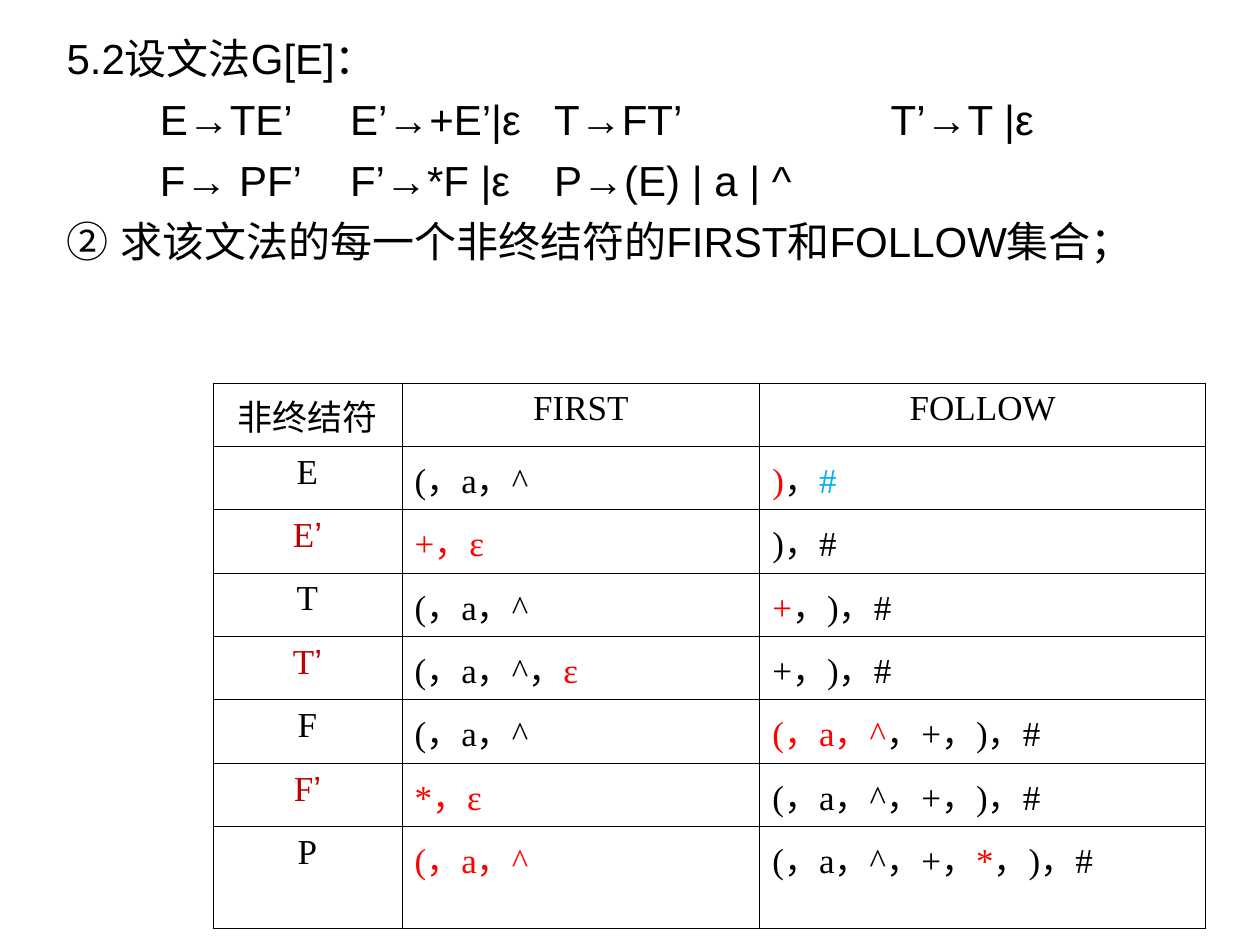
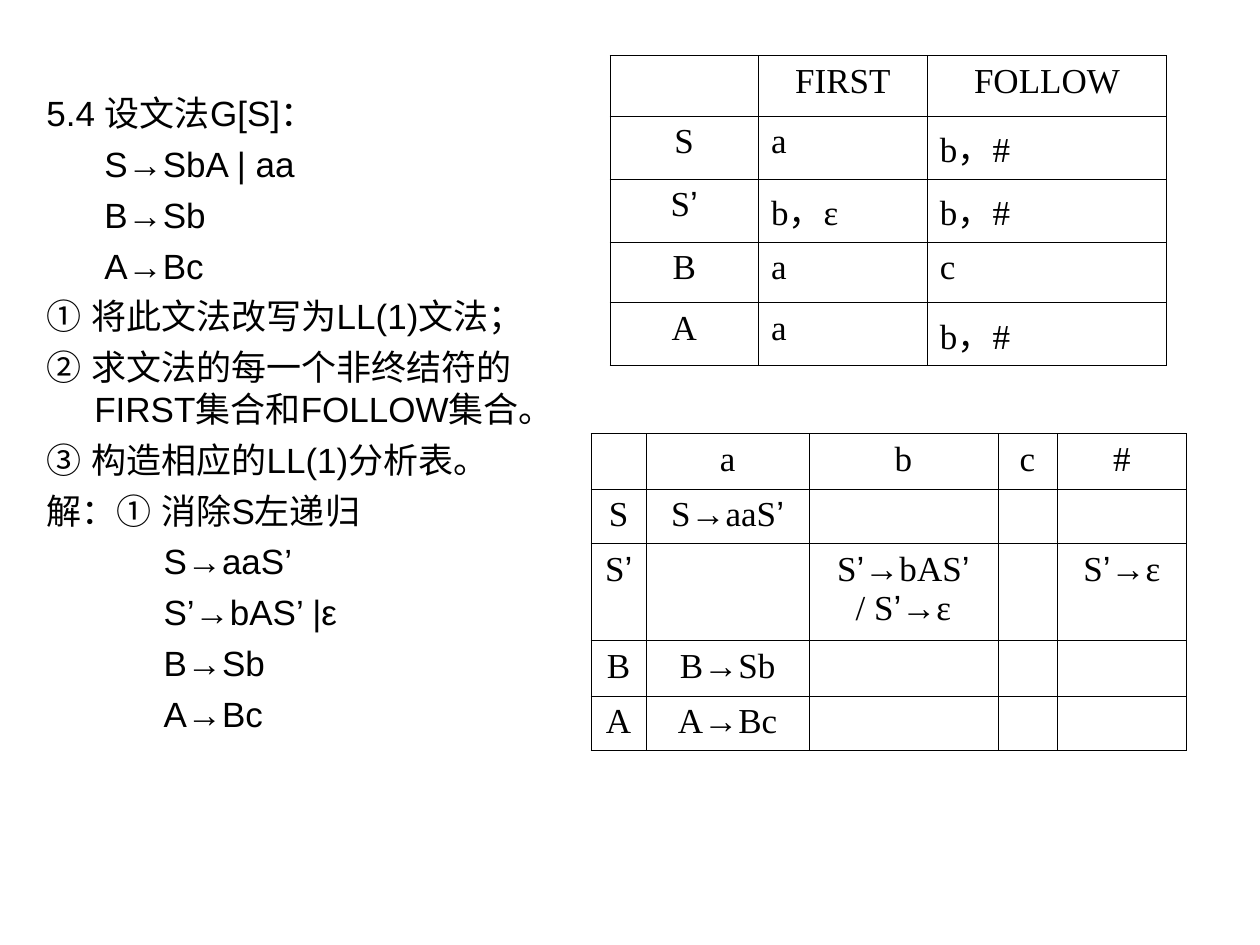
from itertools import groupby

from lxml import etree
from pptx import Presentation
from pptx.dml.color import RGBColor
from pptx.enum.text import PP_ALIGN
from pptx.oxml.ns import qn
from pptx.util import Inches, Pt

CENTER, LEFT = PP_ALIGN.CENTER, PP_ALIGN.LEFT
SANS, SERIF = "Arial", "Times New Roman"
BLACK, RED, DARK_RED, BLUE = "000000", "FF0000", "C00000", "00B0F0"
HANGING = 0.38
TABLE_SIZE = 20
BORDER_WIDTH = 0.45

# Content: a line is (text, left indent or None for hanging, tab stops)
GRAMMAR_TABS = (0.74, 2.25, 3.87, 6.54)
EXPRESSION_TEXT = [
    ("5.2设文法G[E]：", None, ()),
    ("\tE→TE’\tE’→+E’|ε\tT→FT’\tT’→T |ε", 0, GRAMMAR_TABS),
    ("\tF→ PF’\tF’→*F |ε\tP→(E) | a | ^", 0, GRAMMAR_TABS),
    ("② 求该文法的每一个非终结符的FIRST和FOLLOW集合；", None, ()),
]
STATEMENT_TEXT = [
    ("5.4 设文法G[S]：", None, ()),
    *[(rule, 0.46, ()) for rule in ("S→SbA | aa", "B→Sb", "A→Bc")],
    ("① 将此文法改写为LL(1)文法；", None, ()),
    ("② 求文法的每一个非终结符的FIRST集合和FOLLOW集合。", None, ()),
    ("③ 构造相应的LL(1)分析表。", None, ()),
    ("解：① 消除S左递归", None, ()),
    *[(rule, 0.93, ()) for rule in ("S→aaS’", "S’→bAS’ |ε", "B→Sb", "A→Bc")],
]

# A cell is plain text or a list of (text, colour) spans
EXPRESSION_SETS = [
    ["非终结符", "FIRST", "FOLLOW"],
    ["E", "(，a，^", [(")", RED), ("，", BLACK), ("#", BLUE)]],
    [[("E’", DARK_RED)], [("+，ε", RED)], ")，#"],
    ["T", "(，a，^", [("+", RED), ("，)，#", BLACK)]],
    [[("T’", DARK_RED)], [("(，a，^，", BLACK), ("ε", RED)], "+，)，#"],
    ["F", "(，a，^", [("(，a，^", RED), ("，+，)，#", BLACK)]],
    [[("F’", DARK_RED)], [("*，ε", RED)], "(，a，^，+，)，#"],
    ["P", [("(，a，^", RED)],
     [("(，a，^，+，", BLACK), ("*", RED), ("，)，#", BLACK)]],
]
STATEMENT_SETS = [
    ["", "FIRST", "FOLLOW"],
    ["S", "a", "b，#"],
    ["S’", "b，ε", "b，#"],
    ["B", "a", "c"],
    ["A", "a", "b，#"],
]
PARSING_TABLE = [
    ["", "a", "b", "c", "#"],
    ["S", "S→aaS’", "", "", ""],
    ["S’", "", "S’→bAS’\n/ S’→ε", "", "S’→ε"],
    ["B", "B→Sb", "", "", ""],
    ["A", "A→Bc", "", "", ""],
]
# Seven equal rows, then one that holds two lines
EXPRESSION_HEIGHTS = [3.52 / 7] * 7 + [0.81]
STATEMENT_HEIGHTS = [0.48, 0.5, 0.5, 0.48, 0.5]
PARSING_HEIGHTS = [0.44, 0.43, 0.77, 0.44, 0.43]


def color(hex_string):
    return RGBColor.from_string(hex_string)


def indent(para, left, first):
    properties = para._p.get_or_add_pPr()
    properties.set("marL", str(Inches(left)))
    properties.set("indent", str(Inches(first)))


def add_span(para, text, font_name, size, hex_color):
    span = para.add_run()
    span.text = text
    span.font.name = font_name
    span.font.size = Pt(size)
    span.font.color.rgb = color(hex_color)
    return span


def add_tabs(para, stops):
    tabs = etree.SubElement(para._p.get_or_add_pPr(), qn("a:tabLst"))
    for stop in stops:
        etree.SubElement(tabs, qn("a:tab"), pos=str(Inches(stop)), algn="l")


def add_text(page, left, top, width, height, lines, size, gap):
    box = page.shapes.add_textbox(*map(Inches, (left, top, width, height)))
    frame = box.text_frame
    frame.word_wrap = True
    for number, (text, left_indent, stops) in enumerate(lines):
        para = frame.add_paragraph() if number else frame.paragraphs[0]
        para._p.get_or_add_pPr().set("hangingPunct", "0")
        if number:
            para.space_before = Pt(gap)
        # An explicit indent would cancel the tab stops
        if stops:
            add_tabs(para, stops)
        elif left_indent is None:
            indent(para, HANGING, -HANGING)
        else:
            indent(para, left_indent, 0)
        span = add_span(para, text, SANS, size, BLACK)
        # East Asian glyphs share the Latin line height
        etree.SubElement(span.font._element, qn("a:ea"), typeface=SANS)


def add_borders(cell):
    properties = cell._tc.get_or_add_tcPr()
    for side in ("a:lnL", "a:lnR", "a:lnT", "a:lnB"):
        line = etree.SubElement(properties, qn(side), w=str(Pt(BORDER_WIDTH)))
        fill = etree.SubElement(line, qn("a:solidFill"))
        etree.SubElement(fill, qn("a:srgbClr"), val=BLACK)


def fill_cell(cell, content, align):
    add_borders(cell)
    cell.fill.background()
    if not content:
        return
    if isinstance(content, str):
        lines = [[(line, BLACK)] for line in content.split("\n")]
    else:
        lines = [content]
    for number, spans in enumerate(lines):
        frame = cell.text_frame
        para = frame.add_paragraph() if number else frame.paragraphs[0]
        para.alignment = align
        indent(para, HANGING, -HANGING)
        for text, hex_color in spans:
            # Prime marks are set in the sans face
            for prime, letters in groupby(text, lambda letter: letter == "’"):
                add_span(para, "".join(letters), SANS if prime else SERIF,
                         TABLE_SIZE, hex_color)


def add_grid(page, left, top, widths, heights, rows, centered=False):
    frame = page.shapes.add_table(
        len(rows), len(widths), Inches(left), Inches(top),
        Inches(sum(widths)), Inches(sum(heights)))
    table = frame.table
    table.first_row = table.horz_banding = False
    for column, width in zip(table.columns, widths):
        column.width = Inches(width)
    for r, (row, height) in enumerate(zip(rows, heights)):
        table.rows[r].height = Inches(height)
        for c, content in enumerate(row):
            align = CENTER if centered or r == 0 or c == 0 else LEFT
            fill_cell(table.cell(r, c), content, align)


def main():
    deck = Presentation()
    deck.slide_width, deck.slide_height = Inches(10), Inches(7.5)
    blank = deck.slide_layouts[6]

    # Exercise 5.2
    page = deck.slides.add_slide(blank)
    add_text(page, 0.43, 0.21, 9.21, 2.13, EXPRESSION_TEXT, 24, 6)
    add_grid(page, 1.69, 3.04, (1.5, 2.84, 3.54), EXPRESSION_HEIGHTS,
             EXPRESSION_SETS)

    # Exercise 5.4
    page = deck.slides.add_slide(blank)
    add_text(page, 0.27, 0.68, 4.42, 6.02, STATEMENT_TEXT, 20, 5)
    add_grid(page, 4.84, 0.44, (1.18, 1.34, 1.9), STATEMENT_HEIGHTS,
             STATEMENT_SETS)
    add_grid(page, 4.69, 3.44, (0.44, 1.29, 1.5, 0.47, 1.03),
             PARSING_HEIGHTS, PARSING_TABLE, centered=True)

    deck.save("out.pptx")


if __name__ == "__main__":
    main()
